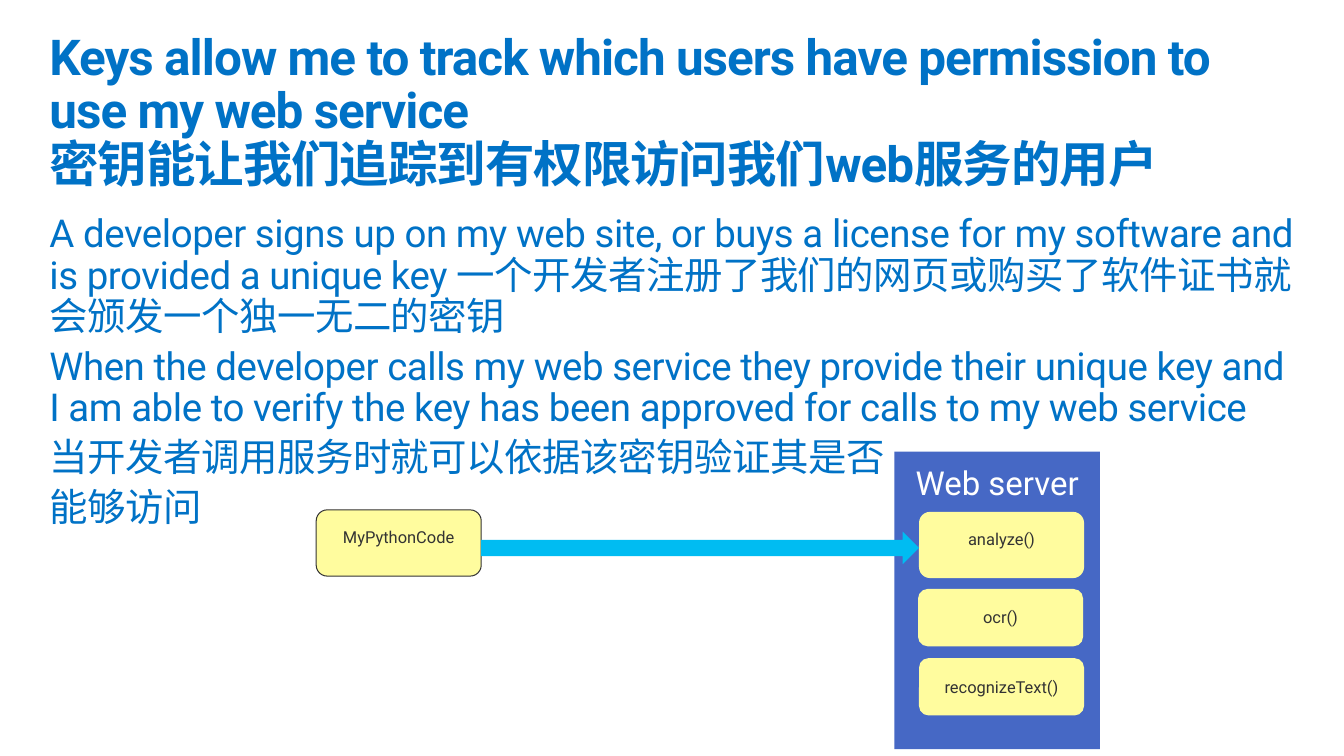
import copy
import pptx
import pptx.util
import pptx.dml.color
import pptx.enum.shapes
import pptx.enum.text
from lxml import etree
from pptx.oxml.ns import qn

deck = pptx.Presentation()
deck.slide_width = pptx.util.Inches(13.6)
deck.slide_height = pptx.util.Inches(7.65)
column = deck.slide_width / 136
row = deck.slide_height / 76.5
page = deck.slides.add_slide(deck.slide_layouts[1])

Shape = pptx.enum.shapes.MSO_SHAPE
Align = pptx.enum.text.PP_ALIGN
Anchor = pptx.enum.text.MSO_ANCHOR
Fit = pptx.enum.text.MSO_AUTO_SIZE


def paint(color_format, color):
    color_format.rgb = pptx.dml.color.RGBColor.from_string(color)


def write(para, text, size, color, bold=False):
    span = para.add_run()
    span.text = text
    span.font.name = "Roboto"
    span.font.size = pptx.util.Pt(size)
    span.font.bold = bold
    paint(span.font.color, color)
    return span


title_lines = [
    "Keys allow me to track which users have permission to use my web service",
    "密钥能让我们追踪到有权限访问我们web服务的用户",
]
body_lines = [
    "A developer signs up on my web site, or buys a license for my software and is provided a unique key "
    "一个开发者注册了我们的网页或购买了软件证书就会颁发一个独一无二的密钥",
    "When the developer calls my web service they provide their unique key and "
    "I am able to verify the key has been approved for calls to my web service",
    "当开发者调用服务时就可以依据该密钥验证其是否",
    "能够访问",
]

title = page.shapes.title
body = page.placeholders[1]
for box, top, height, fit in [(title, 2.3, 10, Fit.NONE), (body, 20.7, 34.2, Fit.SHAPE_TO_FIT_TEXT)]:
    box.left, box.top = int(4 * column), int(top * row)
    box.width, box.height = int(128 * column), int(height * row)
    frame = box.text_frame
    frame.word_wrap = True
    frame.auto_size = fit
    frame.vertical_anchor = Anchor.TOP
    frame.margin_left = frame.margin_right = pptx.util.Inches(0.1)
    frame.margin_top = frame.margin_bottom = pptx.util.Inches(0.1)

para = title.text_frame.paragraphs[0]
para.alignment = Align.LEFT
para.line_spacing = 0.9
for number, line in enumerate(title_lines):
    if number:
        para.add_line_break()
        para._p[-1].append(copy.deepcopy(span._r.get_or_add_rPr()))
    span = write(para, line, 36, "0072C6", True)
    span._r.get_or_add_rPr().set("spc", "-70")

for number, line in enumerate(body_lines):
    para = body.text_frame.add_paragraph() if number else body.text_frame.paragraphs[0]
    properties = para._p.get_or_add_pPr()
    properties.set("marL", "0")
    properties.set("indent", "0")
    etree.SubElement(properties, qn("a:buNone"))
    para.alignment = Align.LEFT
    para.line_spacing = 0.9
    para.space_before = pptx.util.Pt(6 if number else 0)
    span = write(para, line, 28, "0072C6")
    span._r.get_or_add_rPr().set("spc", "-30")

diagram = [
    (Shape.RECTANGLE, 90.5, 45.7, 20.8, 30.1, "4668C5", None, "Web server", 24, "FFFFFF", 0.9),
    (Shape.ROUNDED_RECTANGLE, 93, 51.8, 16.7, 6.7, "FFFC9E", None, "analyze()", 12, "333333", 0.9),
    (Shape.ROUNDED_RECTANGLE, 92.9, 59.6, 16.7, 5.8, "FFFC9E", None, "ocr()", 12, "333333", 1),
    (Shape.ROUNDED_RECTANGLE, 93, 66.6, 16.7, 5.8, "FFFC9E", None, "recognizeText()", 12, "333333", 1),
    (Shape.ROUNDED_RECTANGLE, 32, 51.6, 16.7, 6.7, "FFFC9E", "333333", "MyPythonCode", 12, "333333", 0.9),
    (Shape.RIGHT_ARROW, 48.7, 53.8, 44.3, 3.3, "00BCF2", None, "", 12, "333333", 1),
]
for kind, left, top, width, height, fill, line, text, size, color, spacing in diagram:
    box = page.shapes.add_shape(
        kind, int(left * column), int(top * row), int(width * column), int(height * row))
    box.shadow.inherit = False
    box.fill.solid()
    paint(box.fill.fore_color, fill)
    if line:
        paint(box.line.color, line)
        box.line.width = pptx.util.Pt(0.75)
    else:
        box.line.fill.background()
    if text:
        frame = box.text_frame
        frame.word_wrap = True
        frame.vertical_anchor = Anchor.TOP
        frame.margin_left = frame.margin_right = pptx.util.Inches(0.2)
        frame.margin_top = frame.margin_bottom = pptx.util.Inches(0.16)
        para = frame.paragraphs[0]
        para.alignment = Align.CENTER
        para.line_spacing = spacing
        write(para, text, size, color)

deck.save("out.pptx")
